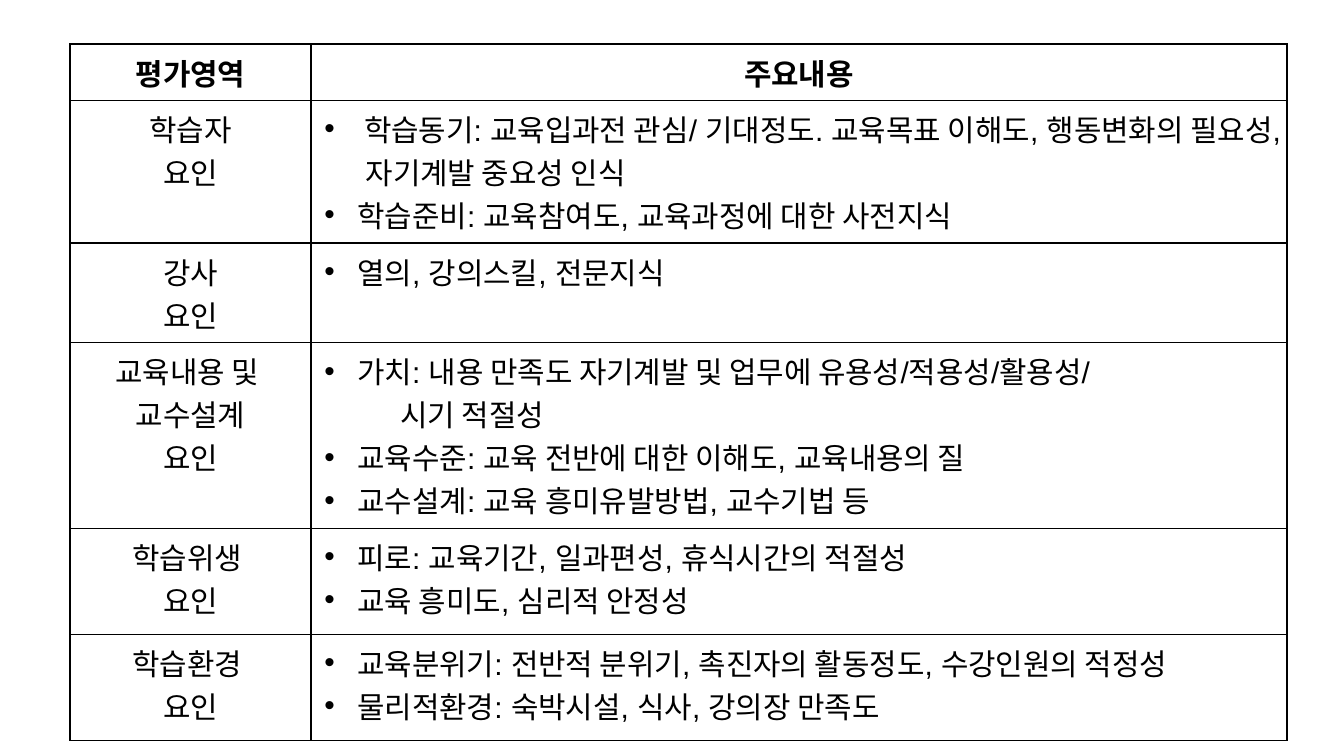
from lxml.etree import SubElement
from pptx import Presentation
from pptx.dml.color import RGBColor
from pptx.enum.text import PP_ALIGN
from pptx.oxml.ns import qn
from pptx.util import Pt

PX = 914400 / 134.4
BLACK = RGBColor(0, 0, 0)
HANG = 33
CONTINUED = 76
COL_WIDTHS = [241, 976]
ROW_HEIGHTS = [52, 137, 97, 184, 106, 106]
HEADERS = ["평가영역", "주요내용"]
# Each area: label lines, then (has bullet, text) items
AREAS = [
    (["학습자", "요인"], [
        (True, " 학습동기: 교육입과전 관심/ 기대정도. 교육목표 이해도, 행동변화의 필요성, 자기계발 중요성 인식"),
        (True, "학습준비: 교육참여도, 교육과정에 대한 사전지식")]),
    (["강사", "요인"], [
        (True, "열의, 강의스킬, 전문지식")]),
    (["교육내용 및 ", "교수설계", "요인"], [
        (True, "가치: 내용 만족도 자기계발 및 업무에 유용성/적용성/활용성/ "),
        (False, "시기 적절성"),
        (True, "교육수준: 교육 전반에 대한 이해도, 교육내용의 질"),
        (True, "교수설계: 교육 흥미유발방법, 교수기법 등")]),
    (["학습위생 ", "요인"], [
        (True, "피로: 교육기간, 일과편성, 휴식시간의 적절성"),
        (True, "교육 흥미도, 심리적 안정성")]),
    (["학습환경 ", "요인"], [
        (True, "교육분위기: 전반적 분위기, 촉진자의 활동정도, 수강인원의 적정성"),
        (True, "물리적환경: 숙박시설, 식사, 강의장 만족도")]),
]


def px(n):
    """Turn pixels into EMU."""
    return round(n * PX)


def fill_cell(cell, lines, bold=False):
    """Write the lines into a cell with black borders; return its paragraphs."""
    tc_pr = cell._tc.get_or_add_tcPr()
    for side in ("lnL", "lnR", "lnT", "lnB"):
        ln = SubElement(tc_pr, qn(f"a:{side}"), w=str(Pt(0.75)))
        solid = SubElement(ln, qn("a:solidFill"))
        SubElement(solid, qn("a:srgbClr"), val=str(BLACK))
    cell.fill.background()
    tf = cell.text_frame
    tf.text = "\n".join(lines)
    for p in tf.paragraphs:
        p.alignment = PP_ALIGN.CENTER
        p.font.name = "Arial"
        p.font.size = Pt(16)
        p.font.bold = bold
        p.font.color.rgb = BLACK
    return tf.paragraphs


prs = Presentation()
prs.slide_width, prs.slide_height = px(1344), px(756)
s = prs.slides.add_slide(prs.slide_layouts[6])

table = s.shapes.add_table(len(ROW_HEIGHTS), len(COL_WIDTHS), px(70), px(44),
                           px(sum(COL_WIDTHS)), px(sum(ROW_HEIGHTS))).table
table.horz_banding = False
for column, width in zip(table.columns, COL_WIDTHS):
    column.width = px(width)
for row, height in zip(table.rows, ROW_HEIGHTS):
    row.height = px(height)

for col, header in enumerate(HEADERS):
    fill_cell(table.cell(0, col), [header], bold=True)

for row, (label, items) in enumerate(AREAS, start=1):
    fill_cell(table.cell(row, 0), label)
    paragraphs = fill_cell(table.cell(row, 1), [text for _, text in items])
    for p, (bulleted, _) in zip(paragraphs, items):
        p.alignment = PP_ALIGN.LEFT
        p_pr = p._p.get_or_add_pPr()
        p_pr.set("marL", str(px(HANG if bulleted else CONTINUED)))
        p_pr.set("indent", str(px(-HANG if bulleted else 0)))
        if bulleted:
            # Bullet elements must precede the default run properties
            def_r_pr = p_pr.find(qn("a:defRPr"))
            color = SubElement(p_pr, qn("a:buClr"))
            SubElement(color, qn("a:srgbClr"), val=str(BLACK))
            font = SubElement(p_pr, qn("a:buFont"), typeface="Arial")
            char = SubElement(p_pr, qn("a:buChar"), char="•")
            for el in (color, font, char):
                def_r_pr.addprevious(el)

prs.save("out.pptx")
